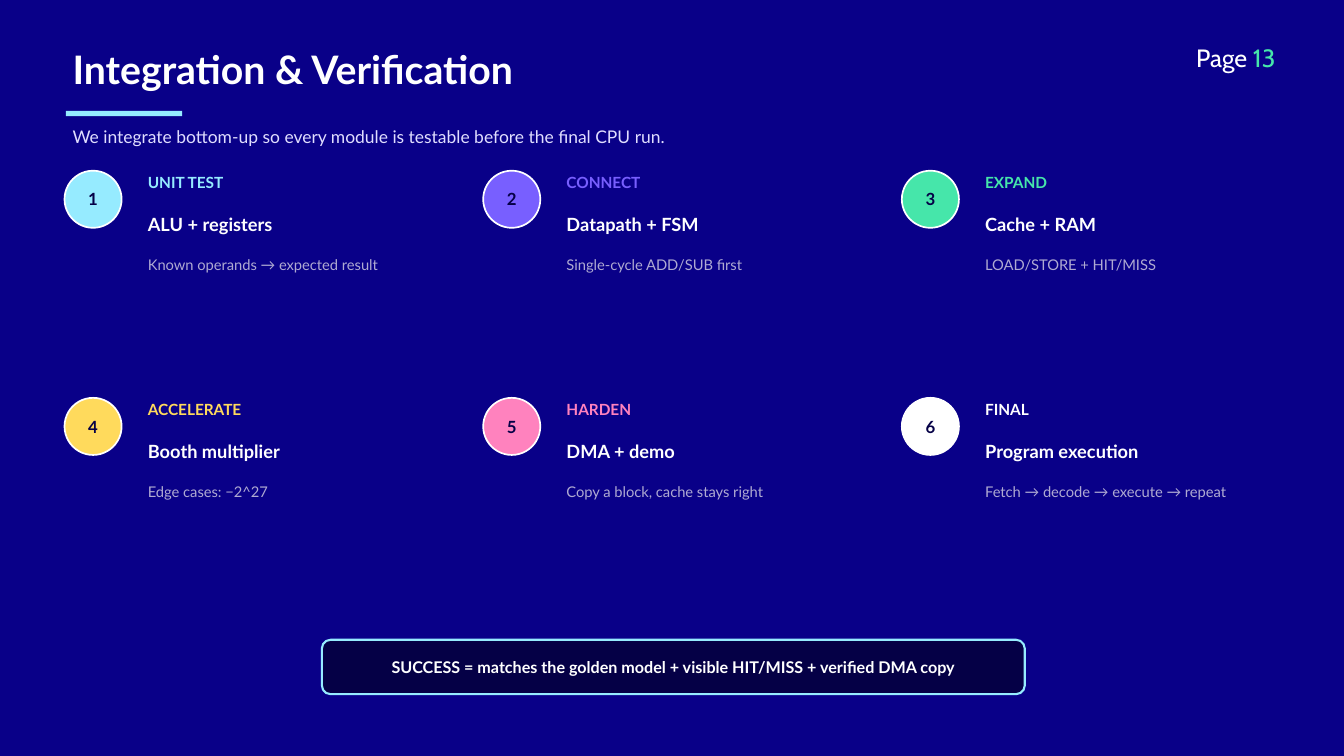
from dataclasses import dataclass

from pptx import Presentation
from pptx.dml.color import RGBColor
from pptx.enum.shapes import MSO_SHAPE as Shape
from pptx.enum.text import MSO_ANCHOR as Anchor, PP_ALIGN as Align
from pptx.util import Inches, Pt


@dataclass(frozen=True)
class Theme:
    """Colours, fonts and type sizes of the deck."""
    background: str = "090088"
    navy: str = "050046"
    white: str = "FFFFFF"
    lavender: str = "E0DEFF"
    muted: str = "AFAAD2"
    cyan: str = "96EBFF"
    violet: str = "785FFF"
    green: str = "46E6AA"
    yellow: str = "FFDA5C"
    pink: str = "FF82BE"
    font: str = "Lato"
    page_font: str = "Cabin"
    title: float = 42
    page: float = 26.75
    step: float = 19.5
    subtitle: float = 18.75
    number: float = 18
    banner: float = 17.25
    label: float = 16.5
    detail: float = 15.75
    leading: float = 1.2


class SlideBuilder:
    """Draws styled elements on one slide."""

    def __init__(self, slide, theme):
        self.slide = slide
        self.theme = theme
        fill = slide.background.fill
        fill.solid()
        fill.fore_color.rgb = RGBColor.from_string(theme.background)

    def typeset(self, frame, runs, size, bold=False, align=Align.LEFT, inset=0.0, font=None):
        frame.word_wrap = True
        frame.margin_left = frame.margin_right = Inches(inset)
        frame.margin_top = frame.margin_bottom = Inches(inset)
        paragraph = frame.paragraphs[0]
        paragraph.alignment = align
        paragraph.line_spacing = Pt(size * self.theme.leading)
        paragraph.font.size = Pt(size)
        paragraph.font.bold = bold
        paragraph.font.name = font or self.theme.font
        for words, color in runs:
            run = paragraph.add_run()
            run.text = words
            run.font.color.rgb = RGBColor.from_string(color)

    def text(self, box, runs, size, **style):
        frame = self.slide.shapes.add_textbox(*map(Inches, box)).text_frame
        self.typeset(frame, runs, size, **style)

    def shape(self, kind, box, fill, line=None, width=0.0):
        shape = self.slide.shapes.add_shape(kind, *map(Inches, box))
        shape.shadow.inherit = False
        shape.fill.solid()
        shape.fill.fore_color.rgb = RGBColor.from_string(fill)
        if line:
            shape.line.color.rgb = RGBColor.from_string(line)
            shape.line.width = Pt(width)
        else:
            shape.line.fill.background()
        return shape

    def label(self, shape, words, size, color):
        shape.text_frame.vertical_anchor = Anchor.MIDDLE
        self.typeset(shape.text_frame, [(words, color)], size, bold=True,
                     align=Align.CENTER, inset=0.06)

    def step(self, left, top, number, color, phase, name, detail):
        theme = self.theme
        badge = self.shape(Shape.OVAL, (left, top, 0.85, 0.85), color, theme.white, 1.8)
        self.label(badge, str(number), theme.number, theme.navy)
        text_left, width = left + 1.24, 4.15
        self.text((text_left, top + 0.03, width, 0.32), [(phase, color)], theme.label, bold=True)
        self.text((text_left, top + 0.63, width, 0.38), [(name, theme.white)], theme.step, bold=True)
        self.text((text_left, top + 1.26, width, 0.73), [(detail, theme.muted)], theme.detail)

    def banner(self, box, words):
        theme = self.theme
        panel = self.shape(Shape.ROUNDED_RECTANGLE, box, theme.navy, theme.cyan, 2.25)
        panel.adjustments[0] = 0.16
        self.label(panel, words, theme.banner, theme.white)


def main():
    theme = Theme()
    deck = Presentation()
    deck.slide_width, deck.slide_height = Inches(20), Inches(11.25)
    page = SlideBuilder(deck.slides.add_slide(deck.slide_layouts[6]), theme)

    page.text((1.08, 0.68, 16.5, 0.88), [("Integration & Verification", theme.white)],
              theme.title, bold=True)
    page.shape(Shape.RECTANGLE, (0.98, 1.65, 1.73, 0.08), theme.cyan)
    page.text((1.08, 1.88, 17.51, 0.53),
              [("We integrate bottom-up so every module is testable before the final CPU run.",
                theme.lavender)], theme.subtitle)

    steps = [
        (theme.cyan, "UNIT TEST", "ALU + registers", "Known operands → expected result"),
        (theme.violet, "CONNECT", "Datapath + FSM", "Single-cycle ADD/SUB first"),
        (theme.green, "EXPAND", "Cache + RAM", "LOAD/STORE + HIT/MISS"),
        (theme.yellow, "ACCELERATE", "Booth multiplier", "Edge cases: −2^27"),
        (theme.pink, "HARDEN", "DMA + demo", "Copy a block, cache stays right"),
        (theme.white, "FINAL", "Program execution", "Fetch → decode → execute → repeat"),
    ]
    for index, step in enumerate(steps):
        row, column = divmod(index, 3)
        page.step(0.96 + 6.23 * column, 2.54 + 3.38 * row, index + 1, *step)

    page.banner((4.79, 9.52, 10.46, 0.81),
                "SUCCESS = matches the golden model + visible HIT/MISS + verified DMA copy")
    page.text((17.8, 0.63, 1.4, 0.44), [("Page ", theme.white), ("13", theme.green)],
              theme.page, font=theme.page_font)
    deck.save("out.pptx")


if __name__ == "__main__":
    main()
